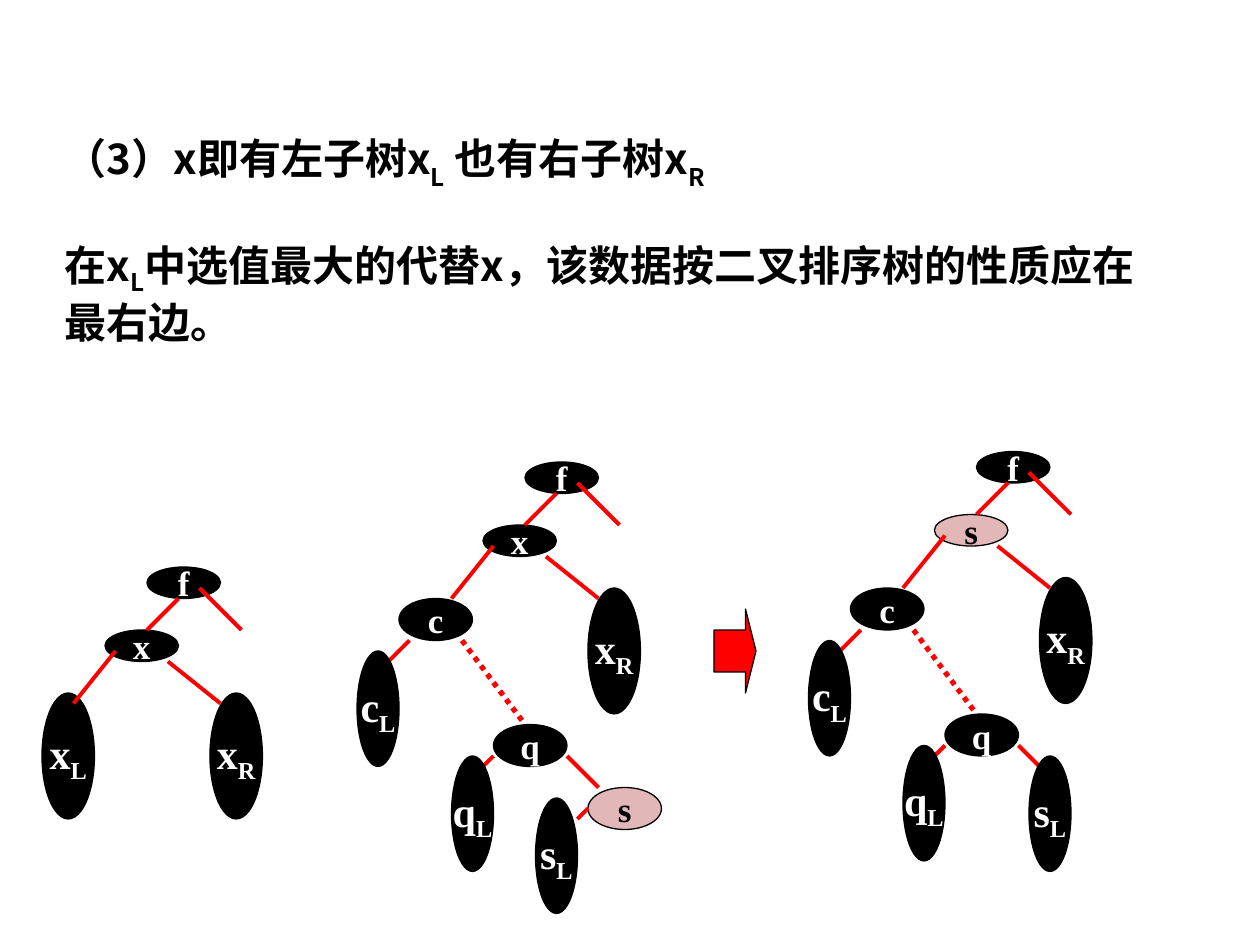
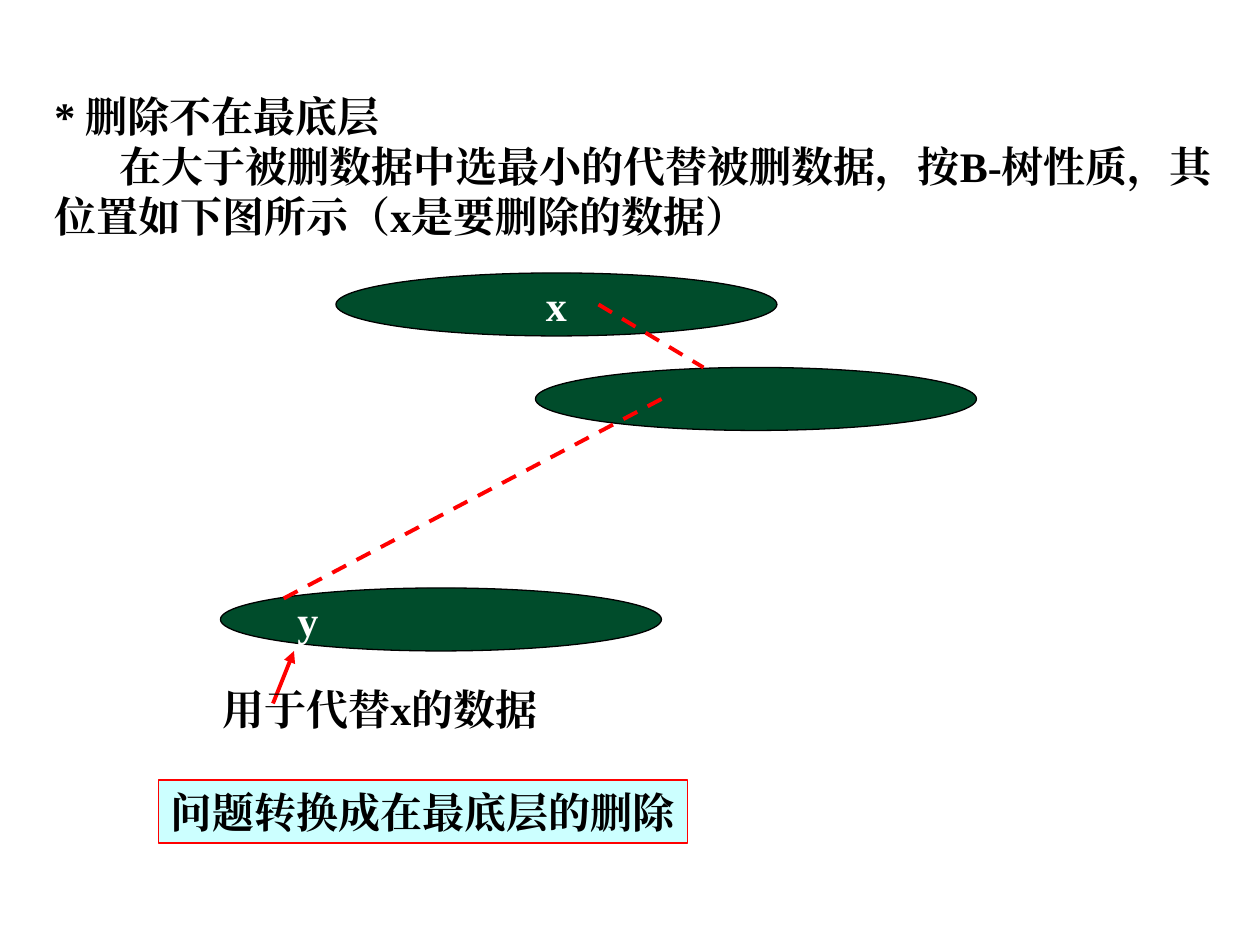
from lxml import etree
from pptx import Presentation
from pptx.dml.color import RGBColor
from pptx.enum.dml import MSO_LINE
from pptx.enum.shapes import MSO_CONNECTOR, MSO_SHAPE
from pptx.enum.text import MSO_ANCHOR, MSO_AUTO_SIZE, PP_ALIGN
from pptx.oxml.ns import qn
from pptx.util import Inches, Pt

OVAL, ARROW, RECT = MSO_SHAPE.OVAL, MSO_SHAPE.RIGHT_ARROW, MSO_SHAPE.RECTANGLE
DASH, DOTS = MSO_LINE.DASH, MSO_LINE.ROUND_DOT
LEFT, CENTER = PP_ALIGN.LEFT, PP_ALIGN.CENTER

GRID = 12  # grid steps per inch; all places below are in grid steps
BLACK, WHITE, RED = "000000", "FFFFFF", "FF0000"
PINK, GREEN, AQUA = "E1B7B7", "004C2B", "CCFFFF"
SERIF, SANS = "Times New Roman", "Noto Sans CJK SC"

# Content: an underscore lowers the next character
CASE_TEXTS = [
    ("（3）x即有左子树x_L 也有右子树x_R", (5, 12, 64, 12.6), 30),
    ("在x_L中选值最大的代替x，该数据按二叉排序树的性质应在最右边。", (5, 22.2, 107, 11.5), 25),
]

# Node kinds: width, height, text size
KINDS = {"flat": (7, 3, 20), "node": (7, 4, 20), "tall": (5, 12, 24), "slim": (4, 11, 24)}

# Tree parts, placed from the corner of the root f: label, kind, column, row
ROOT = [("f", "flat", 0, 0), ("x_R", "tall", 6, 12)]
LEFT_BRANCH = [("c", "node", -12, 13), ("q", "node", -3, 25),
               ("c_L", "slim", -16, 18), ("q_L", "slim", -7, 28)]
TOP_EDGES = [(3, 3, 0, 6), (5, 2, 9, 6), (2, 9, 7, 13), (-3, 8, -7, 13)]
LEFT_EDGES = [(4, 28, 7, 31), (-11, 17, -13, 19), (-3, 28, -4, 29)]
SEARCH_PATH = (-6, 17, 0, 25)

TREES = [
    {"origin": (14, 54), "edges": TOP_EDGES,
     "nodes": ROOT + [("x", "flat", -4, 6), ("x_L", "tall", -10, 12)]},
    {"origin": (50, 44), "edges": TOP_EDGES + LEFT_EDGES + [(6, 33, 5, 34)],
     "dotted": SEARCH_PATH,
     "nodes": ROOT + LEFT_BRANCH + [("x", "flat", -4, 6), ("s", "node", 6, 31),
                                    ("s_L", "slim", 1, 32)]},
    {"origin": (93, 43), "edges": TOP_EDGES + LEFT_EDGES,
     "dotted": SEARCH_PATH, "arrow": (68, 58, 4, 8),
     "nodes": ROOT + LEFT_BRANCH + [("s", "flat", -4, 6), ("s_L", "slim", 5, 29)]},
]

DELETE_TEXTS = ["* 删除不在最底层",
                "在大于被删数据中选最小的代替被删数据，按B-树性质，其位置如下图所示（x是要删除的数据）"]
PAGES_OF_TREE = [("x", CENTER, 32, 26), ("", CENTER, 51, 35), ("y", LEFT, 21, 56)]
PAGE_SIZE = (42, 6)
PAGE_LINKS = [(57, 29, 67, 35), (63, 38, 27, 57)]
POINTER = (26, 67, 28, 62)
POINTER_LABEL = ("用于代替x的数据", (20, 64.5, 34.3, 6))
CONCLUSION = ("问题转换成在最底层的删除", (15.1, 74.3, 50.4, 6))


def color(hex_text):
    return RGBColor.from_string(hex_text)


def steps(*values):
    return [Inches(value / GRID) for value in values]


def write(para, text, size=24, ink=BLACK, face=SERIF, align=LEFT, drop=25):
    """Write one bold paragraph with lowered characters."""
    para.alignment = align
    font = para.font
    font.size, font.bold, font.name = Pt(size), True, face
    font.color.rgb = color(ink)
    east_asian = etree.SubElement(para._p.pPr.find(qn("a:defRPr")), qn("a:ea"))
    east_asian.set("typeface", face)
    start, *rest = text.split("_")
    spans = [(start, 0)]
    for piece in rest:
        spans += [(piece[0], -drop), (piece[1:], 0)]
    for span_text, base in spans:
        if span_text:
            span = para.add_run()
            span.text = span_text
            if base:
                span._r.get_or_add_rPr().set("baseline", str(base * 1000))


def add_text(shapes, texts, place, wrap=True, **style):
    box = shapes.add_textbox(*steps(*place))
    frame = box.text_frame
    frame.word_wrap, frame.auto_size = wrap, MSO_AUTO_SIZE.SHAPE_TO_FIT_TEXT
    for number, text in enumerate(texts):
        para = frame.add_paragraph() if number else frame.paragraphs[0]
        write(para, text, **style)
    return frame


def add_figure(shapes, kind, place, fill, text="", edge=BLACK, **style):
    figure = shapes.add_shape(kind, *steps(*place))
    figure.shadow.inherit = False
    figure.fill.solid()
    figure.fill.fore_color.rgb = color(fill)
    figure.line.color.rgb = color(edge)
    figure.line.width = Pt(0.75)
    if text:
        frame = figure.text_frame
        frame.word_wrap, frame.vertical_anchor = False, MSO_ANCHOR.MIDDLE
        write(frame.paragraphs[0], text, **style)
    return figure


def add_line(shapes, ends, width=2.25, dash=None, head=False):
    link = shapes.add_connector(MSO_CONNECTOR.STRAIGHT, *steps(*ends))
    link.line.color.rgb = color(RED)
    link.line.width = Pt(width)
    if dash:
        link.line.dash_style = dash
    if head:
        etree.SubElement(link.line._get_or_add_ln(), qn("a:tailEnd")).set("type", "triangle")
    etree.SubElement(link._element.spPr, qn("a:effectLst"))


def draw_tree(slide, tree):
    shapes = slide.shapes.add_group_shape().shapes
    left, top = tree["origin"]

    def draw_nodes(kinds):
        for label, kind, column, row in tree["nodes"]:
            if kind in kinds:
                width, height, size = KINDS[kind]
                fill, ink = (PINK, BLACK) if label == "s" else (BLACK, WHITE)
                add_figure(shapes, OVAL, (left + column, top + row, width, height), fill,
                           label, size=size, ink=ink, align=CENTER)

    def draw_edge(edge, **style):
        x1, y1, x2, y2 = edge
        add_line(shapes, (left + x1, top + y1, left + x2, top + y2), **style)

    if "arrow" in tree:
        arrow = add_figure(shapes, ARROW, tree["arrow"], RED)
        arrow.adjustments[0], arrow.adjustments[1] = 0.5, 0.25
    draw_nodes(("flat", "node", "tall"))
    for edge in tree["edges"]:
        draw_edge(edge)
    if "dotted" in tree:
        draw_edge(tree["dotted"], width=3, dash=DOTS)
    draw_nodes(("slim",))


def build_search_tree_slide(slide):
    for text, place, drop in CASE_TEXTS:
        add_text(slide.shapes, [text], place, face=SANS, drop=drop)
    for tree in TREES:
        draw_tree(slide, tree)


def build_b_tree_slide(slide):
    # Explanation
    frame = add_text(slide.shapes, DELETE_TEXTS, (4, 8, 116, 15.6))
    frame.paragraphs[1]._p.pPr.set("indent", str(Inches(0.52)))

    # Diagram
    shapes = slide.shapes.add_group_shape().shapes
    for label, align, column, row in PAGES_OF_TREE:
        add_figure(shapes, OVAL, (column, row, *PAGE_SIZE), GREEN, label, ink=WHITE, align=align)
    for ends in PAGE_LINKS:
        add_line(shapes, ends, dash=DASH)
    add_line(shapes, POINTER, head=True)
    label, place = POINTER_LABEL
    add_text(shapes, [label], place, wrap=False)

    # Conclusion
    text, place = CONCLUSION
    add_figure(slide.shapes, RECT, place, AQUA, text, edge=RED)


def main():
    deck = Presentation()
    deck.slide_width, deck.slide_height = Inches(10), Inches(7.5)
    blank = deck.slide_layouts[6]
    for build in (build_search_tree_slide, build_b_tree_slide):
        build(deck.slides.add_slide(blank))
    deck.save("out.pptx")


if __name__ == "__main__":
    main()
